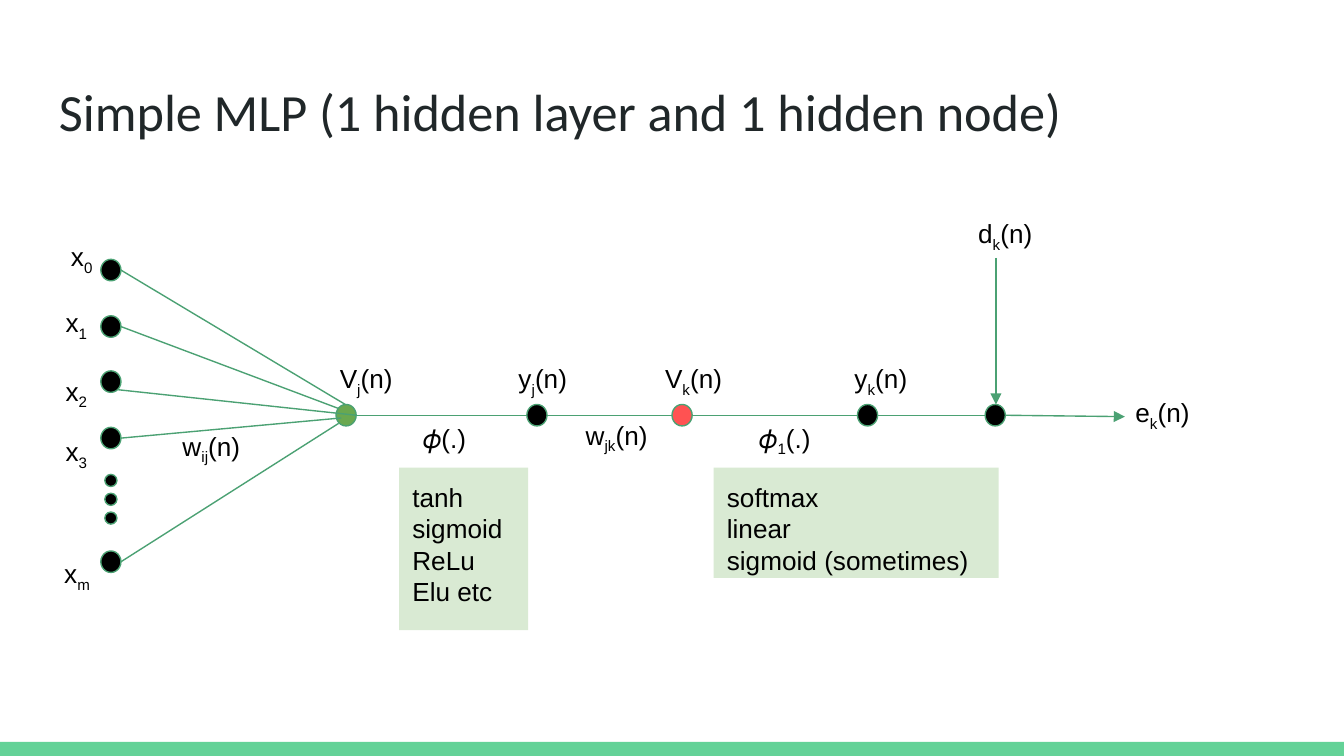
from dataclasses import dataclass
from lxml import etree
from pptx import Presentation
from pptx.dml.color import RGBColor
from pptx.enum.shapes import MSO_CONNECTOR, MSO_SHAPE
from pptx.enum.text import MSO_ANCHOR, PP_ALIGN
from pptx.oxml.ns import qn
from pptx.util import Inches, Pt

STRAIGHT = MSO_CONNECTOR.STRAIGHT
ELLIPSE, RECTANGLE = MSO_SHAPE.OVAL, MSO_SHAPE.RECTANGLE
TOP, LEFT = MSO_ANCHOR.TOP, PP_ALIGN.LEFT


@dataclass(frozen=True)
class Theme:
    ink: str = "000000"
    title: str = "202729"
    line: str = "4BA173"
    footer: str = "63D297"
    hidden: str = "6AA84F"
    output: str = "FF5252"
    panel: str = "D9EAD3"
    title_font: str = "Calibri"
    body_font: str = "Arial"
    title_size: int = 28
    body_size: int = 14
    line_width: float = 0.75


theme = Theme()
deck = Presentation()
deck.slide_width = Inches(10)
deck.slide_height = deck.slide_width * 9 // 16
page = deck.slides.add_slide(deck.slide_layouts[6])


def add_filled(kind, place, fill, outline=None):
    shape = page.shapes.add_shape(kind, *map(Inches, place))
    shape.shadow.inherit = False
    shape.fill.solid()
    shape.fill.fore_color.rgb = RGBColor.from_string(fill)
    if outline:
        shape.line.color.rgb = RGBColor.from_string(outline)
        shape.line.width = Pt(theme.line_width)
    else:
        shape.line.fill.background()
    return shape


def write(box, lines, size=theme.body_size, font=theme.body_font, color=theme.ink):
    frame = box.text_frame
    frame.word_wrap = True
    frame.vertical_anchor = TOP
    frame.margin_left = frame.margin_right = Inches(0.1)
    frame.margin_top = frame.margin_bottom = Inches(0.1)
    for index, parts in enumerate(lines):
        para = frame.add_paragraph() if index else frame.paragraphs[0]
        para.alignment = LEFT
        for position, text in enumerate(parts):
            span = para.add_run()
            span.text = text
            span.font.size = Pt(size)
            span.font.name = font
            span.font.color.rgb = RGBColor.from_string(color)
            if position == 1:
                span.font._element.set("baseline", "-25000")


add_filled(RECTANGLE, (0, 5.52, 10, 0.11), theme.footer)
title = page.shapes.add_textbox(Inches(0.34), Inches(0.49), Inches(9.32), Inches(0.63))
write(title, [("Simple MLP (1 hidden layer and 1 hidden node)",)],
      theme.title_size, theme.title_font, theme.title)

axis = 3.09
node_size = (0.15, 0.16)
node_top = 3.01
input_nodes = [(0.75, top, theme.ink) for top in (1.93, 2.35, 2.76, 3.18, 4.1)]
chain_nodes = [
    (2.5, node_top, theme.hidden),
    (5, node_top, theme.output),
    (6.38, node_top, theme.ink),
    (7.33, node_top, theme.ink),
]
for left, top, fill in input_nodes + chain_nodes:
    add_filled(ELLIPSE, (left, top, *node_size), fill, theme.line)
for row in range(3):
    add_filled(ELLIPSE, (0.78, 3.53 + 0.14 * row, 0.09, 0.09), theme.ink, theme.line)

links = [
    ((0.9, 2.01), (2.57, 3.01), False),
    ((0.9, 2.43), (2.52, 3.04), False),
    ((0.88, 2.9), (2.65, axis), False),
    ((0.9, 3.26), (2.54, 3.11), False),
    ((0.9, 4.18), (2.52, 3.15), False),
    ((2.65, axis), (5, axis), False),
    ((5.15, axis), (6.38, axis), False),
    ((6.53, axis), (7.33, axis), False),
    ((7.48, axis), (8.37, 3.1), True),
    ((7.41, 1.92), (7.41, 3.01), True),
]
for start, end, arrow in links:
    link = page.shapes.add_connector(STRAIGHT, *map(Inches, start + end))
    link.line.color.rgb = RGBColor.from_string(theme.line)
    link.line.width = Pt(theme.line_width)
    if arrow:
        etree.SubElement(link.line._get_or_add_ln(), qn("a:tailEnd"), type="triangle")
    etree.SubElement(link._element.spPr, qn("a:effectLst"))

add_filled(ELLIPSE, (3.92, node_top, *node_size), theme.ink, theme.line)

labels = [
    (0.43, 1.69, 0.54, 0.24, ("x", "0")),
    (0.39, 2.18, 0.54, 0.24, ("x", "1")),
    (0.39, 2.69, 0.54, 0.24, ("x", "2")),
    (0.39, 3.14, 0.54, 0.24, ("x", "3")),
    (0.38, 4.05, 0.54, 0.24, ("x", "m")),
    (1.26, 3.1, 0.83, 0.24, ("w", "ij", "(n)")),
    (2.43, 2.6, 0.83, 0.24, ("V", "j", "(n)")),
    (4.85, 2.6, 0.83, 0.24, ("V", "k", "(n)")),
    (6.26, 2.6, 0.83, 0.24, ("y", "k", "(n)")),
    (3.76, 2.6, 0.83, 0.24, ("y", "j", "(n)")),
    (7.18, 1.52, 0.83, 0.24, ("d", "k", "(n)")),
    (8.35, 2.85, 0.83, 0.24, ("e", "k", "(n)")),
    (3.05, 3.04, 0.54, 0.33, ("𝜙(.)",)),
    (5.55, 3.04, 0.72, 0.33, ("𝜙", "1", "(.)")),
    (4.26, 3.02, 0.83, 0.24, ("w", "jk", "(n)")),
]
for *place, parts in labels:
    write(page.shapes.add_textbox(*map(Inches, place)), [parts])

panels = [
    ((2.97, 3.48, 0.96, 1.21), ["tanh", "sigmoid", "ReLu", "Elu etc"]),
    ((5.31, 3.48, 2.12, 0.82), ["softmax", "linear", "sigmoid (sometimes)"]),
]
for place, functions in panels:
    write(add_filled(RECTANGLE, place, theme.panel), [(name,) for name in functions])

deck.save("out.pptx")
